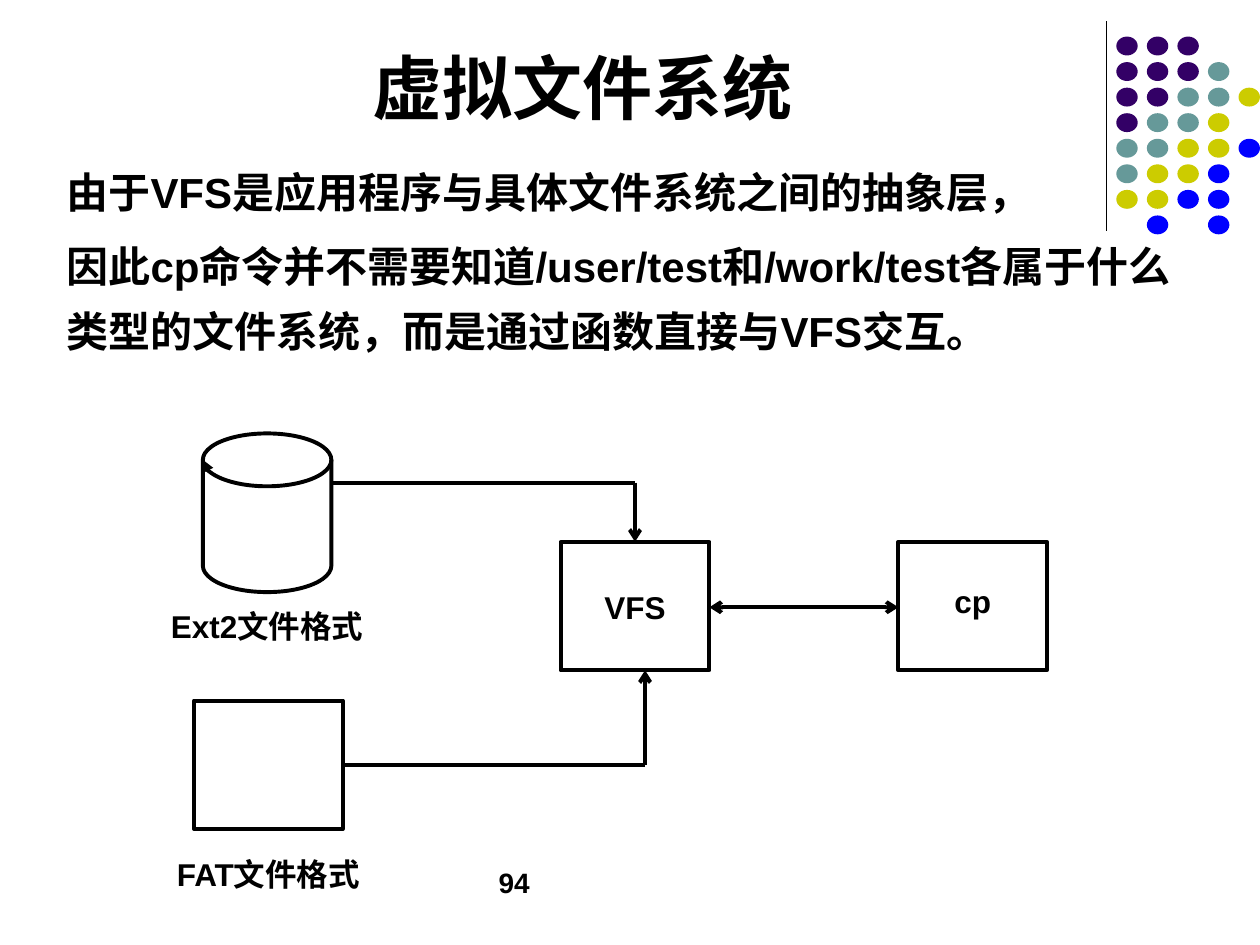
from typing import NamedTuple

import pptx
import pptx.dml.color
import pptx.enum.shapes
import pptx.enum.text
import pptx.oxml.ns
import pptx.util
from lxml import etree

Inches = pptx.util.Inches
Pt = pptx.util.Pt
RGBColor = pptx.dml.color.RGBColor
Shape = pptx.enum.shapes.MSO_SHAPE
Align = pptx.enum.text.PP_ALIGN
Anchor = pptx.enum.text.MSO_ANCHOR
qn = pptx.oxml.ns.qn

BLACK = RGBColor(0x00, 0x00, 0x00)
DOT_COLORS = {
    "P": RGBColor(0x33, 0x00, 0x66),
    "T": RGBColor(0x66, 0x99, 0x99),
    "Y": RGBColor(0xCC, 0xCC, 0x00),
    "B": RGBColor(0x00, 0x00, 0xFF),
}
DOT_ROWS = ["PPP", "PPPT", "PPTTY", "PTTY", "TTYYB", "TYYB", "YYBB", " B B"]
DOT_LEFT, DOT_TOP = 8.86, 0.29
DOT_STEP_X, DOT_STEP_Y = 0.97 / 4, 1.42 / 7


class Box(NamedTuple):
    """Position and size in inches."""
    left: float
    top: float
    width: float
    height: float


class Node(NamedTuple):
    """An outlined part of the diagram with its label."""
    kind: Shape
    box: Box
    label: str
    label_top: float
    line_end: str = ""


class Link(NamedTuple):
    """A straight line with optional arrowheads."""
    start: tuple[float, float]
    end: tuple[float, float]
    width: float = 2.25
    head: str = ""
    tail: str = ""


NODES = [
    Node(Shape.FLOWCHART_MAGNETIC_DISK, Box(1.61, 3.44, 1.02, 1.26), "Ext2文件格式", 4.77, "triangle"),
    Node(Shape.RECTANGLE, Box(1.54, 5.56, 1.18, 1.02), "FAT文件格式", 6.74),
    Node(Shape.RECTANGLE, Box(4.45, 4.3, 1.18, 1.02), "VFS", 4.62),
    Node(Shape.RECTANGLE, Box(7.13, 4.3, 1.18, 1.02), "cp", 4.57),
]
LABEL_WIDTH, LABEL_HEIGHT = 1.81, 0.4
LINKS = [
    Link((8.78, 0.17), (8.78, 1.83), width=0.75),
    Link((2.64, 3.83), (5.04, 3.83)),
    Link((5.04, 3.83), (5.04, 4.3), tail="arrow"),
    Link((2.72, 6.07), (5.12, 6.07)),
    Link((5.12, 6.07), (5.12, 5.32), tail="arrow"),
    Link((5.63, 4.82), (7.13, 4.82), head="arrow", tail="arrow"),
]


def add_line_ends(line, head: str, tail: str) -> None:
    """Put arrowheads on a line that already has its colour."""
    for tag, kind in (("a:headEnd", head), ("a:tailEnd", tail)):
        if kind:
            etree.SubElement(line._get_or_add_ln(), qn(tag), type=kind)


def add_text(slide, box: Box, paragraphs: list[str], size: float,
             align=Align.LEFT, anchor=Anchor.TOP,
             line_spacing: float = 1.0, space_before: float = 0) -> None:
    """Add a text box with bold black text."""
    frame = slide.shapes.add_textbox(*map(Inches, box)).text_frame
    frame.word_wrap = True
    frame.vertical_anchor = anchor
    for index, words in enumerate(paragraphs):
        paragraph = frame.add_paragraph() if index else frame.paragraphs[0]
        paragraph.alignment = align
        paragraph.line_spacing = line_spacing
        paragraph.space_before = Pt(space_before)
        run = paragraph.add_run()
        run.text = words
        run.font.name = "Arial"
        run.font.size = Pt(size)
        run.font.bold = True
        run.font.color.rgb = BLACK


def add_dots(slide) -> None:
    """Draw the grid of coloured dots in the corner."""
    for row, codes in enumerate(DOT_ROWS):
        for column, code in enumerate(codes):
            if code not in DOT_COLORS:
                continue
            box = Box(DOT_LEFT + column * DOT_STEP_X, DOT_TOP + row * DOT_STEP_Y, 0.17, 0.15)
            dot = slide.shapes.add_shape(Shape.OVAL, *map(Inches, box))
            dot.shadow.inherit = False
            dot.fill.solid()
            dot.fill.fore_color.rgb = DOT_COLORS[code]
            dot.line.fill.background()


def add_node(slide, node: Node) -> None:
    """Draw an outlined shape and a label centred on it."""
    outline = slide.shapes.add_shape(node.kind, *map(Inches, node.box))
    outline.shadow.inherit = False
    outline.fill.background()
    outline.line.color.rgb = BLACK
    outline.line.width = Pt(2.25)
    add_line_ends(outline.line, "", node.line_end)
    label_left = node.box.left + (node.box.width - LABEL_WIDTH) / 2
    add_text(slide, Box(label_left, node.label_top, LABEL_WIDTH, LABEL_HEIGHT),
             [node.label], 18, Align.CENTER)


def add_link(slide, link: Link) -> None:
    """Draw a straight connector without a shadow."""
    connector = slide.shapes.add_connector(
        pptx.enum.shapes.MSO_CONNECTOR.STRAIGHT, *map(Inches, link.start + link.end))
    connector.line.color.rgb = BLACK
    connector.line.width = Pt(link.width)
    add_line_ends(connector.line, link.head, link.tail)
    etree.SubElement(connector._element.spPr, qn("a:effectLst"))


def main() -> None:
    """Build and save the slide."""
    deck = pptx.Presentation()
    deck.slide_width, deck.slide_height = Inches(10), Inches(7.5)
    slide = deck.slides.add_slide(deck.slide_layouts[6])
    add_dots(slide)
    add_text(slide, Box(0.5, 0.13, 8.25, 0.94), ["虚拟文件系统"], 40,
             Align.CENTER, Anchor.BOTTOM)
    add_text(slide, Box(0.43, 1.15, 9.06, 5.51), [
        "由于VFS是应用程序与具体文件系统之间的抽象层，",
        "因此cp命令并不需要知道/user/test和/work/test各属于什么类型的文件系统，"
        "而是通过函数直接与VFS交互。",
    ], 24, line_spacing=1.3, space_before=4.8)
    add_text(slide, Box(3.86, 6.82, 2.33, 0.5), ["94"], 16)
    for node in NODES:
        add_node(slide, node)
    for link in LINKS:
        add_link(slide, link)
    deck.save("out.pptx")


main()
